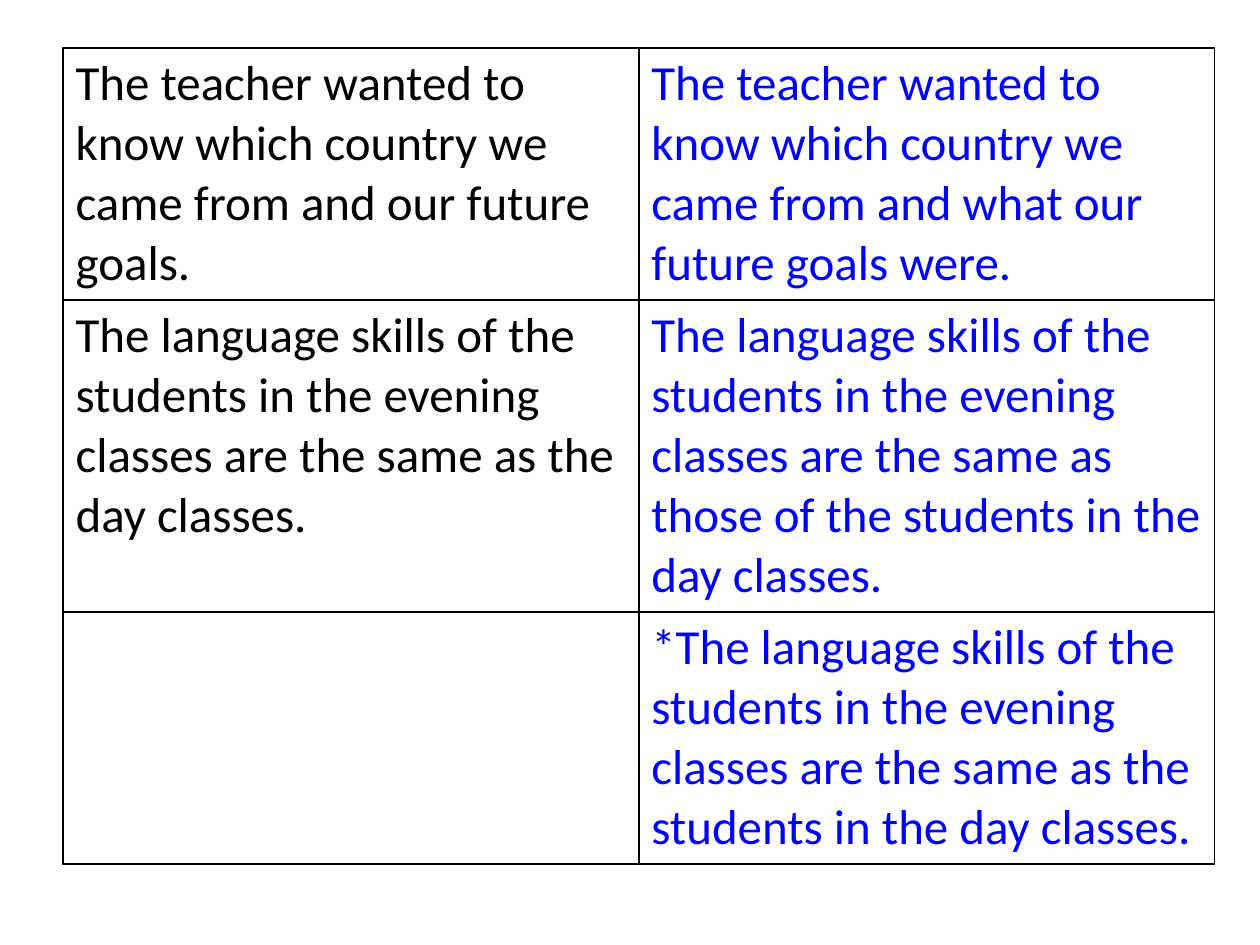
from lxml.etree import SubElement
from pptx import Presentation
from pptx.dml.color import RGBColor
from pptx.oxml.ns import qn
from pptx.util import Inches, Pt

COLORS = {"border": "000000", "sentence": "000000", "correction": "0000FF"}
FONT = "Calibri"
COLUMN_WIDTH = 4.57
ROW_HEIGHTS = [1.61, 1.98, 1.98]

# Each row: faulty sentence, corrected sentence
SENTENCES = [
    ("The teacher wanted to know which country we came from and our future goals.",
     "The teacher wanted to know which country we came from and what our future goals were."),
    ("The language skills of the students in the evening classes are the same as the day classes.",
     "The language skills of the students in the evening classes are the same as "
     "those of the students in the day classes."),
    ("",
     "*The language skills of the students in the evening classes are the same as "
     "the students in the day classes."),
]


def add_borders(cell):
    properties = cell._tc.get_or_add_tcPr()
    for position, side in enumerate(("a:lnL", "a:lnR", "a:lnT", "a:lnB")):
        line = SubElement(properties, qn(side), w=str(Pt(1)))
        fill = SubElement(line, qn("a:solidFill"))
        SubElement(fill, qn("a:srgbClr"), val=COLORS["border"])
        # Borders must come before the cell's fill
        properties.insert(position, line)


def write_cell(cell, text, color):
    cell.fill.background()
    add_borders(cell)
    if text:
        span = cell.text_frame.paragraphs[0].add_run()
        span.text = text
        span.font.name = FONT
        span.font.size = Pt(28)
        span.font.color.rgb = RGBColor.from_string(color)


def add_sentence_table(page):
    frame = page.shapes.add_table(
        len(SENTENCES), 2, Inches(0.5), Inches(0.38),
        Inches(2 * COLUMN_WIDTH), Inches(sum(ROW_HEIGHTS)))
    table = frame.table
    table.first_row = False
    table.horz_banding = False
    for row, height in zip(table.rows, ROW_HEIGHTS):
        row.height = Inches(height)
    for row, (sentence, correction) in zip(table.rows, SENTENCES):
        write_cell(row.cells[0], sentence, COLORS["sentence"])
        write_cell(row.cells[1], correction, COLORS["correction"])


def main():
    deck = Presentation()
    deck.slide_width = Inches(10)
    deck.slide_height = Inches(7.5)
    page = deck.slides.add_slide(deck.slide_layouts[6])
    add_sentence_table(page)
    deck.save("out.pptx")


if __name__ == "__main__":
    main()
